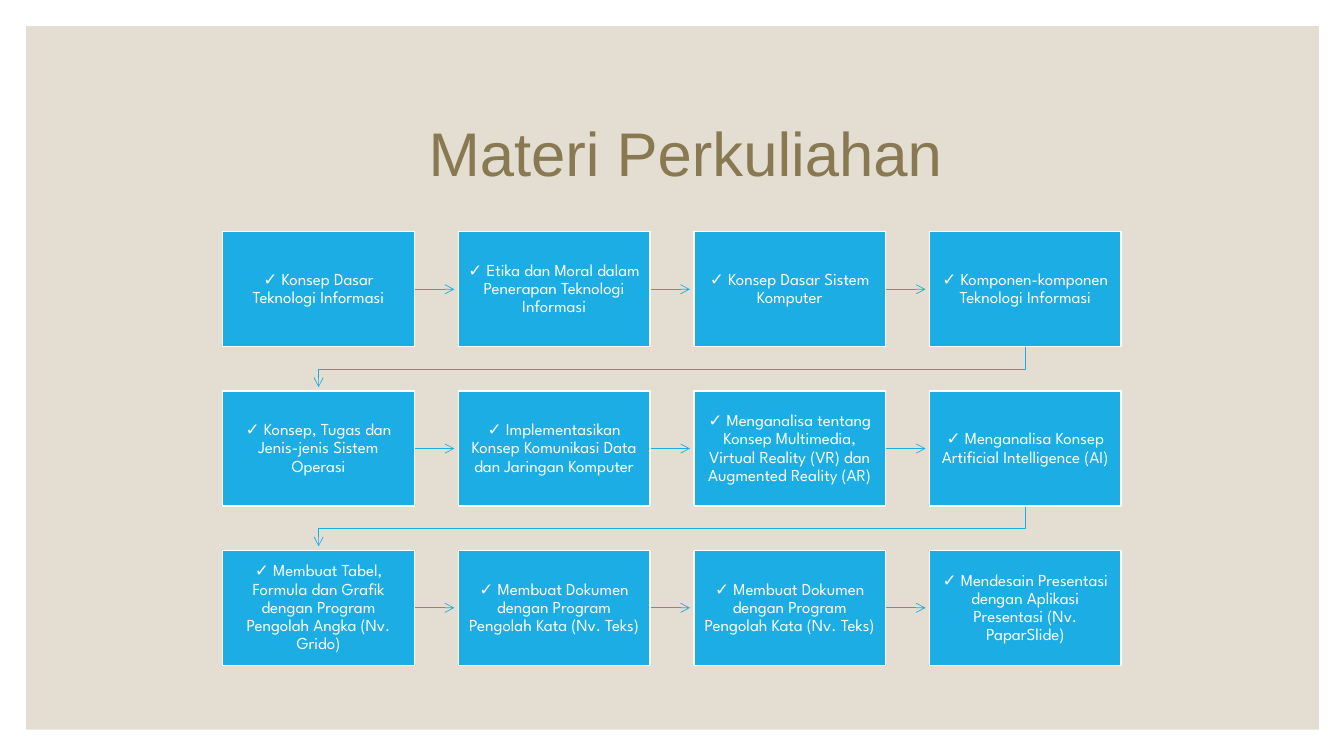
from pptx import Presentation
from pptx.dml.color import RGBColor
from pptx.enum.shapes import MSO_CONNECTOR, MSO_SHAPE
from pptx.enum.text import MSO_ANCHOR, PP_ALIGN
from pptx.oxml.ns import qn
from pptx.util import Inches, Pt
from lxml import etree

RECT = MSO_SHAPE.RECTANGLE
STRAIGHT = MSO_CONNECTOR.STRAIGHT
MIDDLE = MSO_ANCHOR.MIDDLE
CENTER = PP_ALIGN.CENTER

BEIGE, BROWN, BLUE, WHITE = "E3DED1", "887952", "1CADE4", "FFFFFF"
BOX_W, BOX_H = 1.9, 1.14
ARROW_GAP = 0.04

TOPICS = [
    ["Konsep Dasar Teknologi Informasi",
     "Etika dan Moral dalam Penerapan Teknologi Informasi",
     "Konsep Dasar Sistem Komputer",
     "Komponen-komponen Teknologi Informasi"],
    ["Konsep, Tugas dan Jenis-jenis Sistem Operasi",
     "Implementasikan Konsep Komunikasi Data dan Jaringan Komputer",
     "Menganalisa tentang Konsep Multimedia, Virtual Reality (VR) dan Augmented Reality (AR)",
     "Menganalisa Konsep Artificial Intelligence (AI)"],
    ["Membuat Tabel, Formula dan Grafik dengan Program Pengolah Angka (Nv. Grido)",
     "Membuat Dokumen dengan Program Pengolah Kata (Nv. Teks)",
     "Membuat Dokumen dengan Program Pengolah Kata (Nv. Teks)",
     "Mendesain Presentasi dengan Aplikasi Presentasi (Nv. PaparSlide)"],
]


def color(hex_code):
    """Return the colour for a hex string."""
    return RGBColor.from_string(hex_code)


def format_text(tf, font, size, hex_code):
    """Centre the text frame and format its only paragraph."""
    tf.word_wrap = True
    tf.vertical_anchor = MIDDLE
    p = tf.paragraphs[0]
    p.alignment = CENTER
    p.line_spacing = 0.9
    r = p.runs[0]
    r.font.name = font
    r.font.size = Pt(size)
    r.font.color.rgb = color(hex_code)


def add_rect(s, x, y, w, h, fill):
    """Add a plain filled rectangle without outline."""
    sp = s.shapes.add_shape(RECT, Inches(x), Inches(y), Inches(w), Inches(h))
    sp.shadow.inherit = False
    sp.fill.solid()
    sp.fill.fore_color.rgb = color(fill)
    sp.line.fill.background()
    return sp


def add_title(s, text, x, y, w, h):
    """Place and format the title placeholder."""
    sp = s.shapes.title
    sp.left, sp.top, sp.width, sp.height = map(Inches, (x, y, w, h))
    sp.text_frame.text = text
    format_text(sp.text_frame, "Arial", 44, BROWN)


def add_topic(s, text, x, y):
    """Add one topic box with a check mark before its text."""
    sp = add_rect(s, x, y, BOX_W, BOX_H, BLUE)
    sp.line.color.rgb = color(WHITE)
    sp.line.width = Pt(1)
    tf = sp.text_frame
    tf.margin_left = tf.margin_right = Inches(0.09)
    tf.margin_top = tf.margin_bottom = Inches(0.1)
    tf.text = f"✓ {text}"
    format_text(tf, "League Spartan", 12, WHITE)


def style_arrow(sp):
    """Give a line its colour, width and open arrowhead."""
    sp.line.color.rgb = color(BLUE)
    sp.line.width = Pt(0.5)
    ln = sp.element.spPr.find(qn("a:ln"))
    etree.SubElement(ln, qn("a:tailEnd"), type="arrow")


def add_arrow(s, x, y, length):
    """Add a horizontal arrow to the next box."""
    sp = s.shapes.add_connector(
        STRAIGHT, Inches(x), Inches(y), Inches(x + length), Inches(y))
    style_arrow(sp)
    etree.SubElement(sp.element.spPr, qn("a:effectLst"))


def add_return_arrow(s, x_from, x_to, y, gap):
    """Add an elbow arrow from the end of a row to the next row's start."""
    turn = y + gap / 2
    points = [(x_from, turn), (x_to, turn), (x_to, y + gap - ARROW_GAP)]
    fb = s.shapes.build_freeform(Inches(x_from), Inches(y))
    fb.add_line_segments([(Inches(px), Inches(py)) for px, py in points], close=False)
    sp = fb.convert_to_shape()
    sp.shadow.inherit = False
    sp.fill.background()
    style_arrow(sp)


def add_flow(s, rows, x, y, w, h):
    """Spread the topics evenly over the box and join them in reading order."""
    cols = len(rows[0])
    gap_x = (w - cols * BOX_W) / (cols - 1)
    gap_y = (h - len(rows) * BOX_H) / (len(rows) - 1)
    for i, row in enumerate(rows):
        top = y + i * (BOX_H + gap_y)
        for j, text in enumerate(row):
            left = x + j * (BOX_W + gap_x)
            if j < cols - 1:
                add_arrow(s, left + BOX_W, top + BOX_H / 2, gap_x - ARROW_GAP)
            elif i < len(rows) - 1:
                add_return_arrow(s, left + BOX_W / 2, x + BOX_W / 2, top + BOX_H, gap_y)
            add_topic(s, text, left, top)


def add_course_slide(prs):
    """Build the course topics slide."""
    s = prs.slides.add_slide(prs.slide_layouts[5])
    panel = add_rect(s, 0.26, 0.26, 12.82, 6.98, BEIGE)
    s.shapes.title.element.addprevious(panel.element)
    add_title(s, "Materi Perkuliahan", 1.3, 0.8, 11, 1.5)
    add_flow(s, TOPICS, 2.21, 2.3, 8.91, 4.3)


def main():
    """Create and save the presentation."""
    prs = Presentation()
    prs.slide_width, prs.slide_height = Inches(13.33), Inches(7.5)
    add_course_slide(prs)
    prs.save("out.pptx")


if __name__ == "__main__":
    main()
